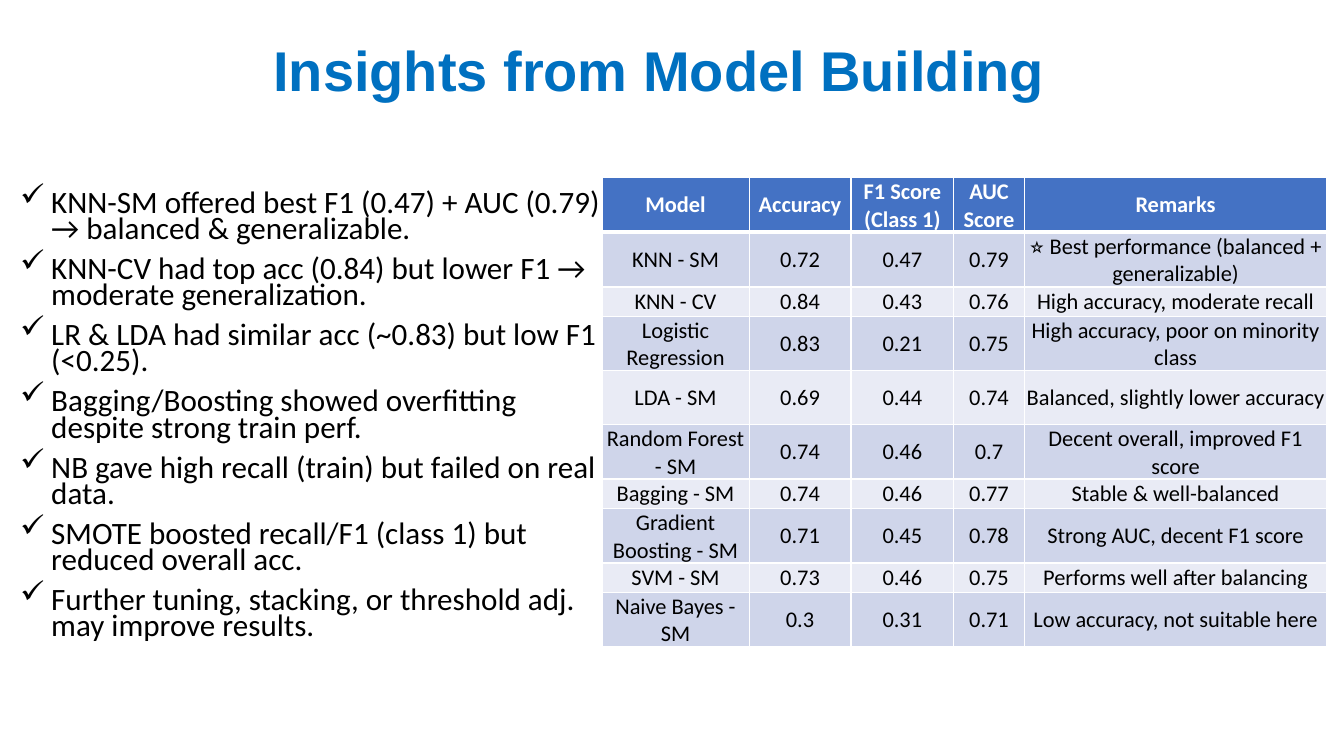
from pptx import Presentation
from pptx.dml.color import RGBColor
from pptx.enum import text as t
from pptx.oxml import parse_xml
from pptx.oxml.ns import nsdecls
from pptx.util import Inches, Pt

INK = {"title": "0070C0", "text": "000000", "white": "FFFFFF",
       "head": "4472C4", "odd": "CFD5EA", "even": "E9EBF5"}

deck = Presentation()
deck.slide_width, deck.slide_height = Inches(13.33), Inches(7.5)
slide = deck.slides.add_slide(deck.slide_layouts[6])


def write(par, words, size, ink="text", font="Calibri", bold=False, align=t.PP_ALIGN.CENTER):
    par.alignment = align
    run = par.add_run()
    run.text = words
    run.font.size, run.font.name, run.font.bold = Pt(size), font, bold
    run.font.color.rgb = RGBColor.from_string(INK[ink])


def edge(cell, sides):
    for i, (side, width) in enumerate(sides.items()):
        cell._tc.get_or_add_tcPr().insert(i, parse_xml(
            f'<a:ln{side} {nsdecls("a")} w="{Pt(width)}"><a:solidFill>'
            f'<a:srgbClr val="{INK["white"]}"/></a:solidFill></a:ln{side}>'))


# Insights list
notes = [
    "KNN-SM offered best F1 (0.47) + AUC (0.79) → balanced & generalizable.",
    "KNN-CV had top acc (0.84) but lower F1 → moderate generalization.",
    "LR & LDA had similar acc (~0.83) but low F1 (<0.25).",
    "Bagging/Boosting showed overfitting despite strong train perf.",
    "NB gave high recall (train) but failed on real data.",
    "SMOTE boosted recall/F1 (class 1) but reduced overall acc.",
    "Further tuning, stacking, or threshold adj. may improve results.",
]
frame = slide.shapes.add_textbox(Inches(0.1), Inches(1.86), Inches(6.01), Inches(4.77)).text_frame
frame.word_wrap = True
for i, note in enumerate(notes):
    par = frame.add_paragraph() if i else frame.paragraphs[0]
    write(par, note, 22.2, align=t.PP_ALIGN.LEFT)
    par.line_spacing, par.space_before = 0.7, Pt(10)
    props = par._p.get_or_add_pPr()
    props.set("marL", str(Inches(0.31)))
    props.set("indent", str(-Inches(0.31)))
    props.append(parse_xml(f'<a:buChar {nsdecls("a")} char="✓"/>'))

# Model scores
scores = [
    ("Model", "Accuracy", "F1 Score (Class 1)", "AUC Score", "Remarks"),
    ("KNN - SM", "0.72", "0.47", "0.79", "⭐ Best performance (balanced + generalizable)"),
    ("KNN - CV", "0.84", "0.43", "0.76", "High accuracy, moderate recall"),
    ("Logistic Regression", "0.83", "0.21", "0.75", "High accuracy, poor on minority class"),
    ("LDA - SM", "0.69", "0.44", "0.74", "Balanced, slightly lower accuracy"),
    ("Random Forest - SM", "0.74", "0.46", "0.7", "Decent overall, improved F1 score"),
    ("Bagging - SM", "0.74", "0.46", "0.77", "Stable & well-balanced"),
    ("Gradient Boosting - SM", "0.71", "0.45", "0.78", "Strong AUC, decent F1 score"),
    ("SVM - SM", "0.73", "0.46", "0.75", "Performs well after balancing"),
    ("Naive Bayes - SM", "0.3", "0.31", "0.71", "Low accuracy, not suitable here"),
]
short = {2, 6, 8}
table = slide.shapes.add_table(len(scores), 5, Inches(5.97), Inches(1.76),
                               Inches(7.19), Inches(4.58)).table
for col, width in zip(table.columns, (1.46, 1.01, 1.02, 0.7, 3)):
    col.width = Inches(width)
for r, row in enumerate(scores):
    table.rows[r].height = Inches(0.29 if r in short else 0.53)
    fill = "head" if r == 0 else "odd" if r % 2 else "even"
    for c, words in enumerate(row):
        cell = table.cell(r, c)
        cell.margin_left = cell.margin_right = cell.margin_top = Inches(0.01)
        cell.margin_bottom = 0
        cell.vertical_anchor = t.MSO_ANCHOR.MIDDLE
        cell.fill.solid()
        cell.fill.fore_color.rgb = RGBColor.from_string(INK[fill])
        edge(cell, {"L": 1, "R": 1, "T": 3 if r == 1 else 1, "B": 1 if r else 3})
        write(cell.text_frame.paragraphs[0], words, 16,
              ink="text" if r else "white", bold=r == 0)

# Title
frame = slide.shapes.add_textbox(Inches(1.63), Inches(0.3), Inches(9.81), Inches(0.77)).text_frame
frame.word_wrap = True
frame.auto_size = t.MSO_AUTO_SIZE.SHAPE_TO_FIT_TEXT
write(frame.paragraphs[0], "Insights from Model Building", 40, ink="title", font="Arial", bold=True)

deck.save("out.pptx")
